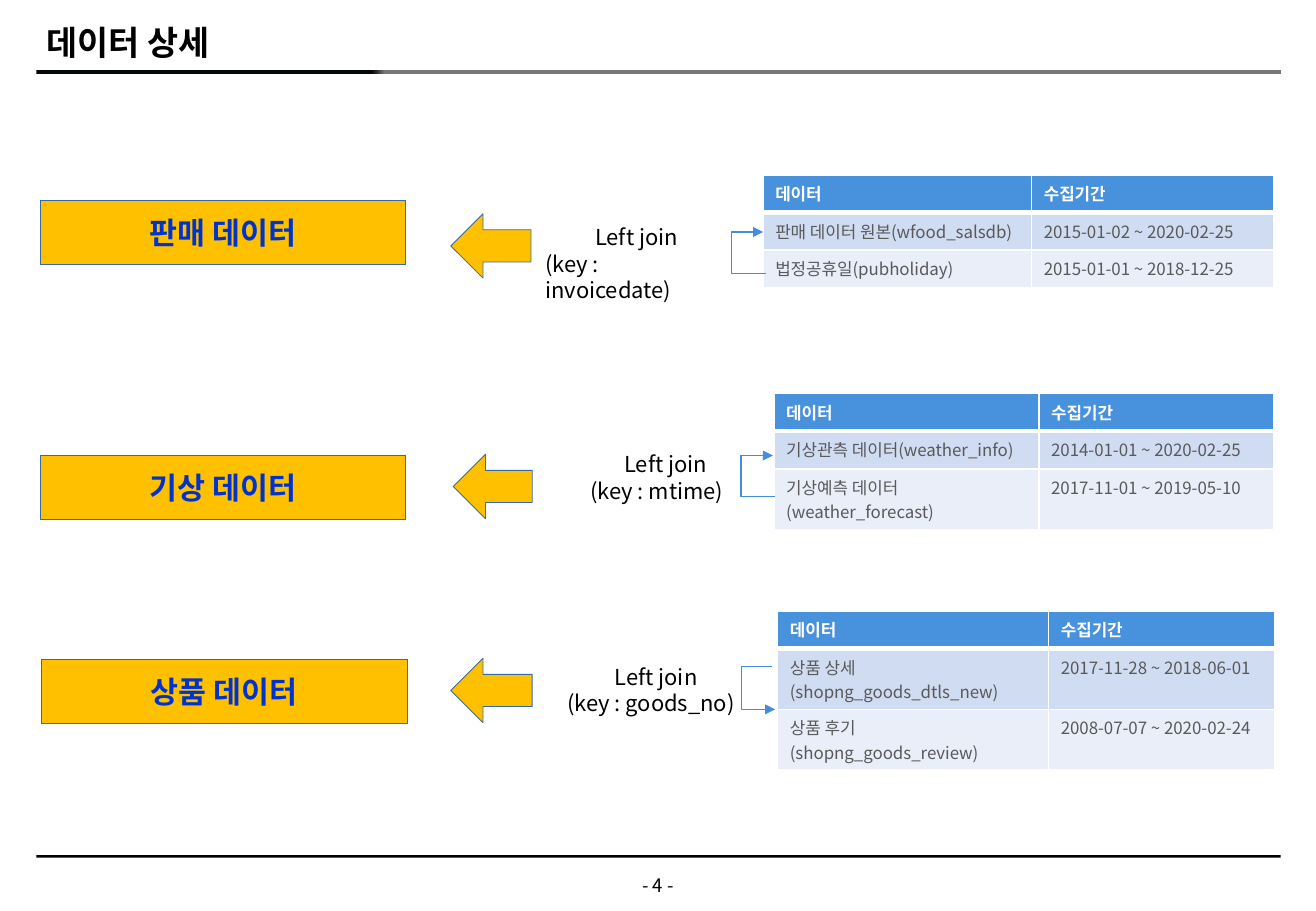
from dataclasses import dataclass
from typing import NamedTuple

from lxml.etree import SubElement
from pptx import Presentation
from pptx.dml.color import RGBColor
from pptx.enum.shapes import MSO_CONNECTOR, MSO_SHAPE
from pptx.enum.text import MSO_ANCHOR, PP_ALIGN
from pptx.oxml.ns import qn
from pptx.util import Pt

PX = 9144  # 100 px to the inch
FONT = "Noto Sans CJK KR"
BLACK, WHITE = "000000", "FFFFFF"
AMBER, OUTLINE, LABEL_BLUE = "FFC000", "356BA3", "0033CC"
HEADER_BLUE, LINK_BLUE, CELL_GREY = "4891DC", "438EDB", "5A595A"
BAND_FILLS = ["CFDCF2", "E9EEF9"]
HEADERS = ("데이터", "수집기간")
ONE_LINE, TWO_LINES = 31, 50  # table row heights


class Box(NamedTuple):
    x: int
    y: int
    w: int
    h: int


class Link(NamedTuple):
    x1: int
    y1: int
    x2: int
    y2: int
    elbow_x: int


class Row(NamedTuple):
    name: str
    period: str
    height: int = ONE_LINE


@dataclass
class Source:
    label: str
    label_box: Box
    arrow_box: Box
    key: str
    join_box: Box
    join_indent: int
    link: Link
    table_at: tuple[int, int]
    col_widths: tuple[int, int]
    rows: list[Row]


SOURCES = [
    Source("판매 데이터", Box(33, 165, 301, 53), Box(371, 176, 66, 53),
           "invoicedate", Box(439, 179, 163, 54), 41,
           Link(630, 225, 628, 191, 602), (628, 144), (221, 199),
           [Row("판매 데이터 원본(wfood_salsdb)", "2015-01-02 ~ 2020-02-25"),
            Row("법정공휴일(pubholiday)", "2015-01-01 ~ 2018-12-25")]),
    Source("기상 데이터", Box(33, 375, 301, 53), Box(373, 374, 65, 53),
           "mtime", Box(476, 366, 138, 54), 28,
           Link(638, 409, 636, 375, 610), (637, 324), (218, 193),
           [Row("기상관측 데이터(weather_info)", "2014-01-01 ~ 2020-02-25"),
            Row("기상예측 데이터(weather_forecast)", "2017-11-01 ~ 2019-05-10", TWO_LINES)]),
    Source("상품 데이터", Box(34, 543, 301, 53), Box(371, 542, 67, 53),
           "goods_no", Box(457, 541, 159, 54), 39,
           Link(635, 549, 638, 584, 610), (640, 503), (223, 186),
           [Row("상품 상세(shopng_goods_dtls_new)", "2017-11-28 ~ 2018-06-01", TWO_LINES),
            Row("상품 후기(shopng_goods_review)", "2008-07-07 ~ 2020-02-24", TWO_LINES)]),
]


def emu(*lengths: int) -> list[int]:
    return [n * PX for n in lengths]


def rgb(color: str) -> RGBColor:
    return RGBColor.from_string(color)


def style_text(tf, size: float, color: str, bold: bool = False, font: str = FONT) -> None:
    """Format every run, giving Hangul its own East Asian font."""
    for p in tf.paragraphs:
        for r in p.runs:
            r.font.size, r.font.bold, r.font.name = Pt(size), bold, font
            r.font.color.rgb = rgb(color)
            r.font._element.find(qn("a:latin")).addnext(
                r.font._element.makeelement(qn("a:ea"), {"typeface": FONT}))


def add_block(slide, kind, box: Box, fill: str, line: str | None = None):
    sp = slide.shapes.add_shape(kind, *emu(*box))
    sp.shadow.inherit = False
    sp.fill.solid()
    sp.fill.fore_color.rgb = rgb(fill)
    if line:
        sp.line.color.rgb = rgb(line)
        sp.line.width = Pt(0.5)
    else:
        sp.line.fill.background()
    return sp


def add_text(slide, box: Box, text: str, wrap: bool = True):
    tf = slide.shapes.add_textbox(*emu(*box)).text_frame
    tf.word_wrap = wrap
    tf.text = text
    return tf


def add_frame(slide) -> None:
    """Title, rules above and below the content, and page number."""
    tf = add_text(slide, Box(30, 13, 787, 42), "데이터 상세")
    tf.vertical_anchor = MSO_ANCHOR.BOTTOM
    tf.margin_left, tf.margin_top, tf.margin_right, tf.margin_bottom = emu(8, 4, 0, 4)
    style_text(tf, 20, BLACK, bold=True, font="Arial")

    fill = add_block(slide, MSO_SHAPE.RECTANGLE, Box(30, 58, 1024, 3), BLACK).fill
    fill.gradient()
    fill.gradient_angle = 0
    for stop, position, color in zip(fill.gradient_stops, (0.27, 0.28), ("050808", "787778")):
        stop.position = position
        stop.color.rgb = rgb(color)

    add_block(slide, MSO_SHAPE.RECTANGLE, Box(30, 704, 1024, 2), BLACK)
    tf = add_text(slide, Box(510, 714, 63, 29), "- 4 -", wrap=False)
    tf.vertical_anchor = MSO_ANCHOR.MIDDLE
    tf.paragraphs[0].alignment = PP_ALIGN.CENTER
    style_text(tf, 11, BLACK)


def set_borders(cell, top: float, bottom: float) -> None:
    tc_pr = cell._tc.get_or_add_tcPr()
    for side, width in (("L", 1), ("R", 1), ("T", top), ("B", bottom)):
        ln = SubElement(tc_pr, qn(f"a:ln{side}"), w=str(Pt(width)))
        SubElement(SubElement(ln, qn("a:solidFill")), qn("a:srgbClr"), val=WHITE)


def add_period_table(slide, source: Source) -> None:
    rows = [Row(*HEADERS), *source.rows]
    size = (sum(source.col_widths), sum(row.height for row in rows))
    table = slide.shapes.add_table(len(rows), len(HEADERS), *emu(*source.table_at, *size)).table
    for column, width in zip(table.columns, source.col_widths):
        column.width = width * PX
    for i, row in enumerate(rows):
        table.rows[i].height = row.height * PX
        header = i == 0
        for cell, value in zip(table.rows[i].cells, (row.name, row.period)):
            set_borders(cell, top=3 if i == 1 else 1, bottom=3 if header else 1)
            cell.fill.solid()
            cell.fill.fore_color.rgb = rgb(HEADER_BLUE if header else BAND_FILLS[i - 1])
            cell.text_frame.text = value
            style_text(cell.text_frame, 10, WHITE if header else CELL_GREY, bold=header)


def add_link(slide, link: Link) -> None:
    """Elbow arrow bending at elbow_x; an upward one is turned by 180 degrees."""
    x1, x2 = sorted((link.x1, link.x2))
    y1, y2 = sorted((link.y1, link.y2))
    cxn = slide.shapes.add_connector(MSO_CONNECTOR.ELBOW, *emu(x1, y1, x2, y2))
    cxn.line.color.rgb = rgb(LINK_BLUE)
    cxn.line.width = Pt(0.75)
    sp_pr = cxn._element.spPr
    if link.y2 < link.y1:
        sp_pr.find(qn("a:xfrm")).set("rot", str(180 * 60000))
    bend = round((link.elbow_x - link.x1) / (link.x2 - link.x1) * 100000)
    guides = sp_pr.find(qn("a:prstGeom")).get_or_add_avLst()
    SubElement(guides, qn("a:gd"), name="adj1", fmla=f"val {bend}")
    SubElement(sp_pr.find(qn("a:ln")), qn("a:tailEnd"), type="triangle")
    SubElement(sp_pr, qn("a:effectLst"))


def add_source(slide, source: Source) -> None:
    add_period_table(slide, source)
    sp = add_block(slide, MSO_SHAPE.RECTANGLE, source.label_box, AMBER, OUTLINE)
    tf = sp.text_frame
    tf.text = source.label
    tf.vertical_anchor = MSO_ANCHOR.MIDDLE
    tf.paragraphs[0].alignment = PP_ALIGN.CENTER
    style_text(tf, 18, LABEL_BLUE, bold=True)
    add_link(slide, source.link)
    tf = add_text(slide, source.join_box, f"Left join\n(key : {source.key})")
    for p in tf.paragraphs:
        p.line_spacing = Pt(15.8)
    tf.paragraphs[0]._p.get_or_add_pPr().set("marL", str(source.join_indent * PX))
    style_text(tf, 13, BLACK)
    add_block(slide, MSO_SHAPE.LEFT_ARROW, source.arrow_box, AMBER, OUTLINE)


def main() -> None:
    prs = Presentation()
    prs.slide_width, prs.slide_height = emu(1083, 750)
    slide = prs.slides.add_slide(prs.slide_layouts[6])
    add_frame(slide)
    for source in SOURCES:
        add_source(slide, source)
    prs.save("out.pptx")


if __name__ == "__main__":
    main()
